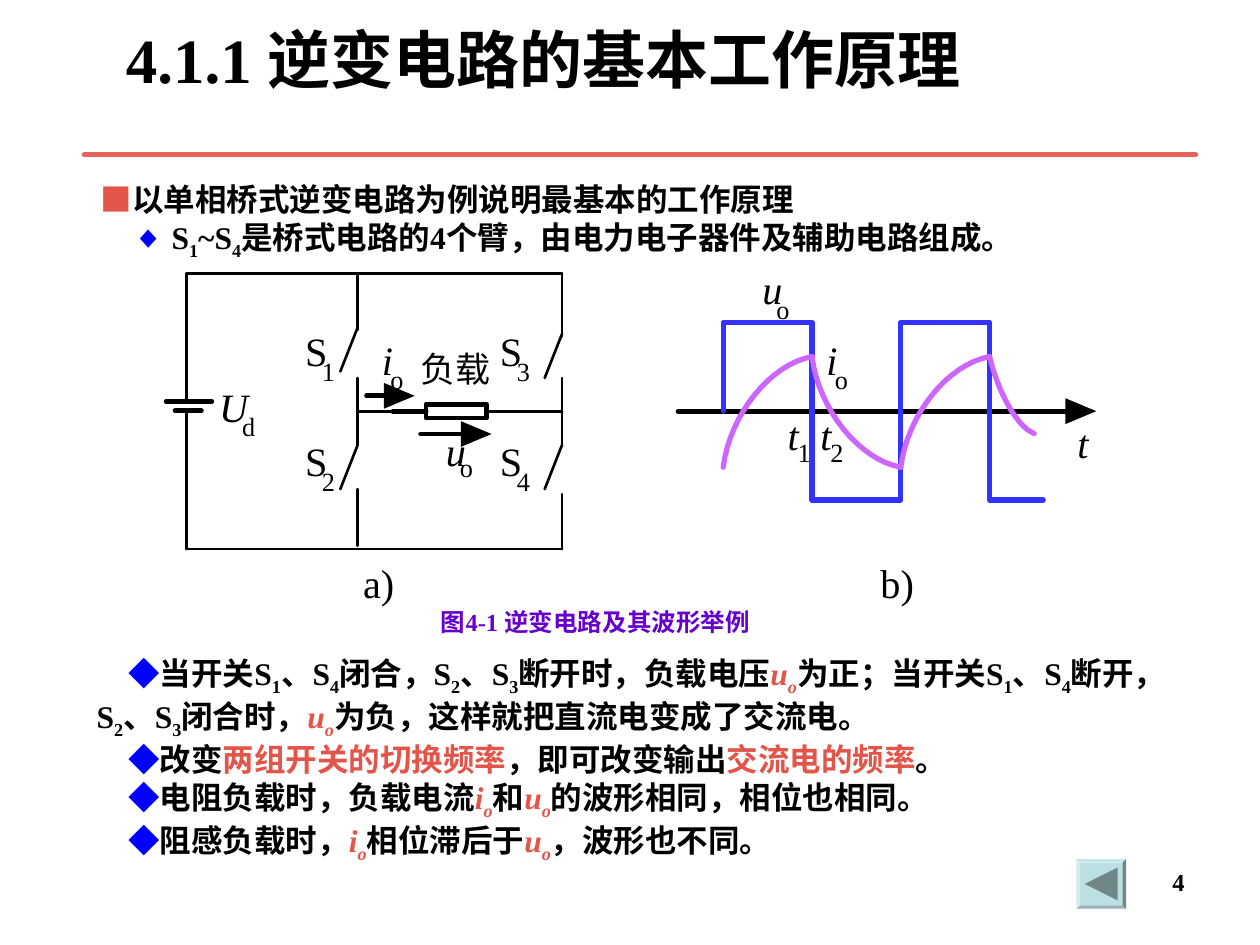
from lxml.etree import SubElement
from pptx import Presentation
from pptx.dml.color import RGBColor
from pptx.enum.shapes import MSO_CONNECTOR, MSO_SHAPE
from pptx.enum.text import MSO_ANCHOR, PP_ALIGN
from pptx.oxml.ns import qn
from pptx.util import Cm, Pt

BLACK = RGBColor(0x00, 0x00, 0x00)
BLUE = RGBColor(0x00, 0x00, 0xFF)
RED = RGBColor(0xE3, 0x54, 0x49)
RULE = RGBColor(0xE5, 0x63, 0x59)
PURPLE = RGBColor(0x66, 0x00, 0xCC)
VOLTAGE = RGBColor(0x33, 0x33, 0xFF)
CURRENT = RGBColor(0xCC, 0x66, 0xFF)
BUTTON = RGBColor(0xBB, 0xE0, 0xE3)
BUTTON_ARROW = RGBColor(0x70, 0x86, 0x88)
LATIN, CJK = "Times New Roman", "Noto Sans CJK SC"

THIN, THICK = 1.5, 2.75
LEFT, MIDDLE, RIGHT = 3.76, 7.21, 11.33
TOP, AXIS, BOTTOM = 5.51, 8.29, 11.07

LETTERS = {"S": (0.46, 0.34), "i": (0.23, 0.17), "u": (0.41, 0.28),
           "U": (0.58, 0.46), "t": (0.23, 0.2)}
LABELS = [
    ("S", "1", 6.15, 6.58, 0.59), ("S", "2", 6.15, 8.79, 0.59),
    ("S", "3", 10.08, 6.58, 0.59), ("S", "4", 10.08, 8.79, 0.59),
    ("i", "o", 7.7, 6.76, 0.57), ("u", "o", 8.99, 8.59, 0.51),
    ("U", "d", 4.42, 7.7, 0.58), ("u", "o", 15.37, 5.33, 0.58),
    ("i", "o", 16.66, 6.76, 0.57), ("t", "1", 15.88, 8.28, 0.51),
    ("t", "2", 16.54, 8.28, 0.51),
]

INTRO = [
    (0, [("■", RED), ("以单相桥式逆变电路为例说明最基本的工作原理", BLACK)]),
    (0.64, [("◆ ", BLUE),
            ("S_1~S_4是桥式电路的4个臂，由电力电子器件及辅助电路组成。", BLACK)]),
]
NOTES = [
    (0.64, [("◆", BLUE), ("当开关S_1、S_4闭合，S_2、S_3断开时，负载电压", BLACK),
            ("u_o", RED), ("为正；当开关S_1、S_4断开，S_2、S_3闭合时，", BLACK),
            ("u_o", RED), ("为负，这样就把直流电变成了交流电。", BLACK)]),
    (0.64, [("◆", BLUE), ("改变", BLACK), ("两组开关的切换频率", RED),
            ("，即可改变输出", BLACK), ("交流电的频率", RED), ("。", BLACK)]),
    (0.64, [("◆", BLUE), ("电阻负载时，负载电流", BLACK), ("i_o", RED),
            ("和", BLACK), ("u_o", RED), ("的波形相同，相位也相同。", BLACK)]),
    (0.64, [("◆", BLUE), ("阻感负载时，", BLACK), ("i_o", RED),
            ("相位滞后于", BLACK), ("u_o", RED), ("，波形也不同。", BLACK)]),
]


def add_run(p, text, size, color=BLACK, bold=False, italic=False, sub=False):
    r = p.add_run()
    r.text = text
    r.font.size, r.font.bold, r.font.italic = Pt(size), bold, italic
    r.font.color.rgb = color
    r.font.name = LATIN
    rpr = r.font._element
    SubElement(rpr, qn("a:ea")).set("typeface", CJK)
    if sub:
        rpr.set("baseline", "-25000")


def add_box(s, x, y, w, h):
    sp = s.shapes.add_textbox(Cm(x), Cm(y), Cm(w), Cm(h))
    sp.text_frame.word_wrap = True
    return sp.text_frame


def add_label(s, text, x, y, w, size=23, italic=False):
    tf = add_box(s, x, y, w, size * 0.042)
    tf.word_wrap = False
    tf.margin_left = tf.margin_right = tf.margin_top = tf.margin_bottom = 0
    add_run(tf.paragraphs[0], text, size, italic=italic)


def add_paragraphs(tf, paragraphs):
    for n, (indent, pieces) in enumerate(paragraphs):
        p = tf.add_paragraph() if n else tf.paragraphs[0]
        ppr = p._p.get_or_add_pPr()
        ppr.set("marL", "0")
        ppr.set("indent", str(Cm(indent)))
        for text, color in pieces:
            style = dict(size=18, color=color, bold=True, italic=text in ("u_o", "i_o"))
            first, *rest = text.split("_")
            add_run(p, first, **style)
            for part in rest:
                add_run(p, part[0], sub=True, **style)
                if part[1:]:
                    add_run(p, part[1:], **style)


def style_line(sp, color, width):
    sp.line.color.rgb = color
    sp.line.width = Pt(width)
    ln = sp._element.spPr.find(qn("a:ln"))
    ln.set("cap", "rnd")
    SubElement(ln, qn("a:round"))


def add_line(s, x1, y1, x2, y2, width=THIN, color=BLACK):
    sp = s.shapes.add_connector(MSO_CONNECTOR.STRAIGHT, Cm(x1), Cm(y1), Cm(x2), Cm(y2))
    style_line(sp, color, width)
    SubElement(sp._element.spPr, qn("a:effectLst"))
    return sp


def add_outline(s, points, closed):
    (x, y), *rest = [(Cm(a), Cm(b)) for a, b in points]
    fb = s.shapes.build_freeform(x, y)
    fb.add_line_segments(rest, close=closed)
    sp = fb.convert_to_shape()
    sp.shadow.inherit = False
    return sp


def add_solid(s, points, color):
    sp = add_outline(s, points, True)
    sp.fill.solid()
    sp.fill.fore_color.rgb = color
    sp.line.fill.background()


def add_trace(s, points, color):
    sp = add_outline(s, points, False)
    sp.fill.background()
    style_line(sp, color, 3)


def add_arrow(s, x1, y, x2):
    base = x2 - 0.62
    add_line(s, x1, y, base + 0.05, y, THICK)
    add_solid(s, [(base, y - 0.26), (x2, y), (base, y + 0.26)], BLACK)


def bezier(p0, p1, p2, p3, steps=16):
    points = []
    for n in range(steps + 1):
        t = n / steps
        weights = ((1 - t) ** 3, 3 * t * (1 - t) ** 2, 3 * t * t * (1 - t), t ** 3)
        points.append(tuple(sum(w * c for w, c in zip(weights, axis))
                            for axis in zip(p0, p1, p2, p3)))
    return points


def add_leg(s, x, first_switch, last_wire, end):
    second_switch = 8.97
    add_line(s, x, TOP, x, first_switch + 0.05)
    add_line(s, x, 7.62, x, second_switch)
    add_line(s, x, last_wire, x, end)
    for y in (first_switch, second_switch):
        add_line(s, x - 0.35, y + 0.89, x, y)


def add_circuit(s):
    for y in (TOP, BOTTOM):
        add_line(s, LEFT, y, RIGHT, y)
    add_line(s, LEFT, TOP, LEFT, 8.08)
    add_line(s, LEFT, 8.3, LEFT, BOTTOM)
    add_line(s, 3.35, 8.09, 4.27, 8.09, THICK)
    add_line(s, 3.53, 8.28, 4.06, 8.28, THICK)
    add_leg(s, MIDDLE, 6.6, 9.86, 11.0)
    add_leg(s, RIGHT, 6.73, 9.96, BOTTOM)

    load = s.shapes.add_shape(MSO_SHAPE.RECTANGLE, Cm(8.59), Cm(AXIS - 0.14), Cm(1.22), Cm(0.28))
    load.shadow.inherit = False
    load.fill.background()
    load.line.color.rgb = BLACK
    load.line.width = Pt(THICK)
    add_line(s, MIDDLE, AXIS, 8.1, AXIS)
    add_line(s, 8.59, AXIS, 7.92, AXIS, THICK).begin_connect(load, 1)
    add_line(s, 9.81, AXIS, RIGHT, AXIS).begin_connect(load, 3)
    add_arrow(s, 7.39, 7.98, 8.36)
    add_arrow(s, 8.48, 8.75, 9.91)
    add_label(s, "负载", 8.48, 7.01, 1.42, 20)
    add_label(s, "a)", 7.32, 11.25, 0.64)


def add_waveforms(s):
    start, half, high, low = 14.58, 1.79, 6.5, 10.08
    peak, trough = 7.19, 9.42
    add_arrow(s, 13.67, AXIS, 22.1)
    square = [(start, AXIS)]
    for n in range(4):
        x, y = start + n * half, (high, low)[n % 2]
        square += [(x, y), (x + half if n < 3 else 21.03, y)]
    add_trace(s, square, VOLTAGE)
    for n in range(3):
        x = start + n * half
        y0, y3 = (peak, trough) if n % 2 else (trough, peak)
        rise = y3 - y0
        add_trace(s, bezier((x, y0), (x + 0.13, y0 + 0.47 * rise),
                            (x + 0.94, y0 + 0.93 * rise), (x + half, y3)), CURRENT)
    x = start + 3 * half
    add_trace(s, bezier((x, peak), (x + 0.17, 7.9), (x + 0.55, 8.61), (x + 0.9, 8.74)), CURRENT)
    add_label(s, "t", 21.72, 8.43, 0.23, italic=True)
    add_label(s, "b)", 17.75, 11.25, 0.69)


def add_symbols(s):
    for letter, index, x, y, drop in LABELS:
        width, advance = LETTERS[letter]
        add_label(s, letter, x, y, width, italic=letter != "S")
        add_label(s, index, x + advance, y + drop, 0.28, 15)


def add_back_button(s):
    x, y, size = 21.7, 17.32, 1.0
    sp = s.shapes.add_shape(MSO_SHAPE.BEVEL, Cm(x), Cm(y), Cm(size), Cm(size))
    sp.adjustments[0] = 0.07
    sp.shadow.inherit = False
    sp.fill.solid()
    sp.fill.fore_color.rgb = BUTTON
    sp.line.fill.background()
    add_solid(s, [(x + 0.17, y + 0.5), (x + 0.83, y + 0.17), (x + 0.83, y + 0.83)], BUTTON_ARROW)


def main():
    prs = Presentation()
    prs.slide_width, prs.slide_height = Cm(25.4), Cm(19.05)
    s = prs.slides.add_slide(prs.slide_layouts[6])
    add_line(s, 1.7, 3.12, 24.1, 3.12, 3, RULE)
    tf = add_box(s, 2.29, 0.84, 21.79, 0.66)
    tf.vertical_anchor = MSO_ANCHOR.MIDDLE
    add_run(tf.paragraphs[0], "4.1.1 逆变电路的基本工作原理", 36, bold=True)
    add_paragraphs(add_box(s, 1.78, 3.51, 22.3, 2.0), INTRO)
    add_circuit(s)
    add_waveforms(s)
    add_symbols(s)
    add_paragraphs(add_box(s, 1.7, 13.06, 22.0, 4.5), NOTES)
    tf = add_box(s, 8.64, 12.12, 9.27, 1.02)
    add_run(tf.paragraphs[0], "图4-1 逆变电路及其波形举例", 14, PURPLE, True)
    add_back_button(s)
    p = add_box(s, 18.21, 17.35, 5.92, 1.32).paragraphs[0]
    p.alignment = PP_ALIGN.RIGHT
    add_run(p, "4", 14, bold=True)
    prs.save("out.pptx")


if __name__ == "__main__":
    main()
